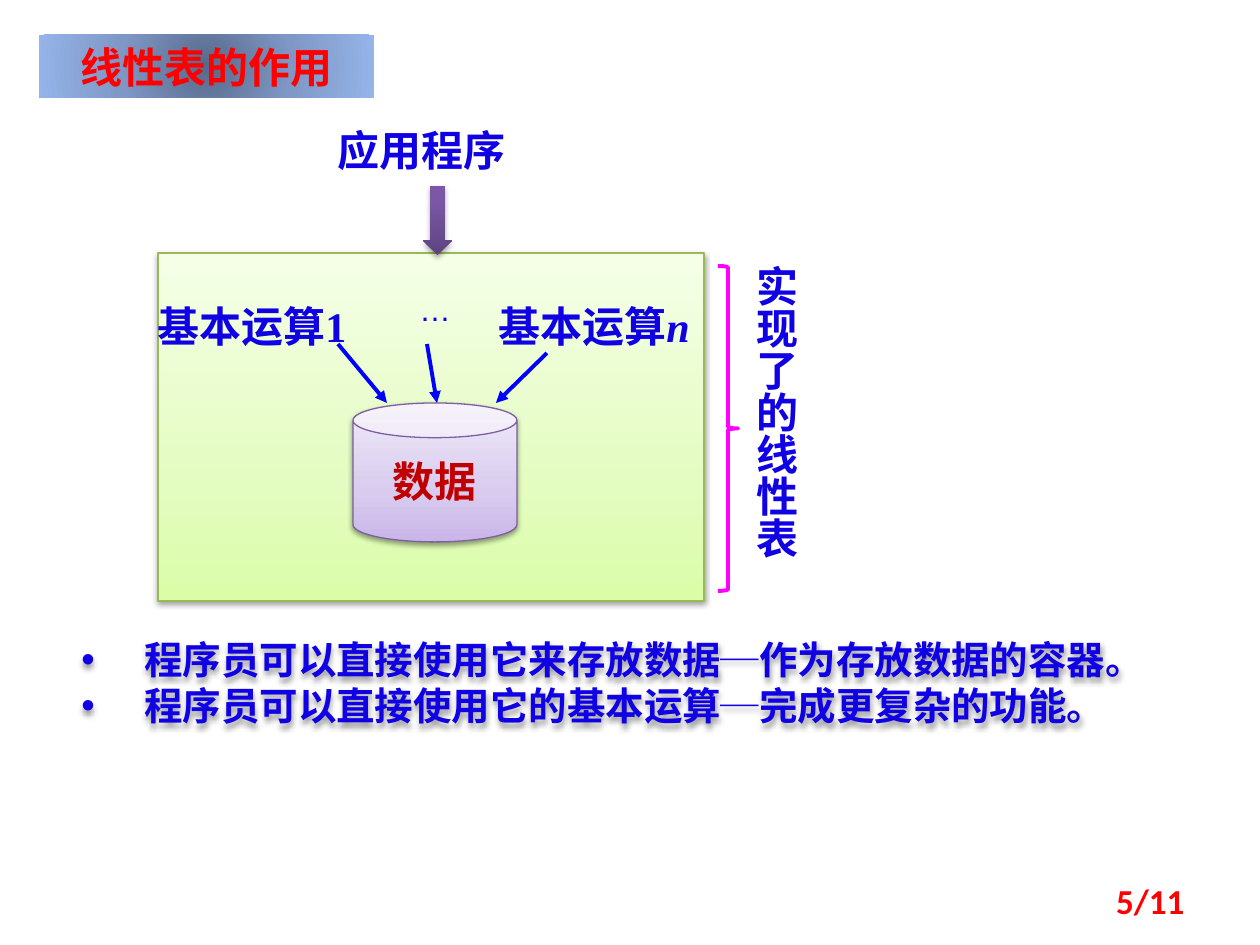
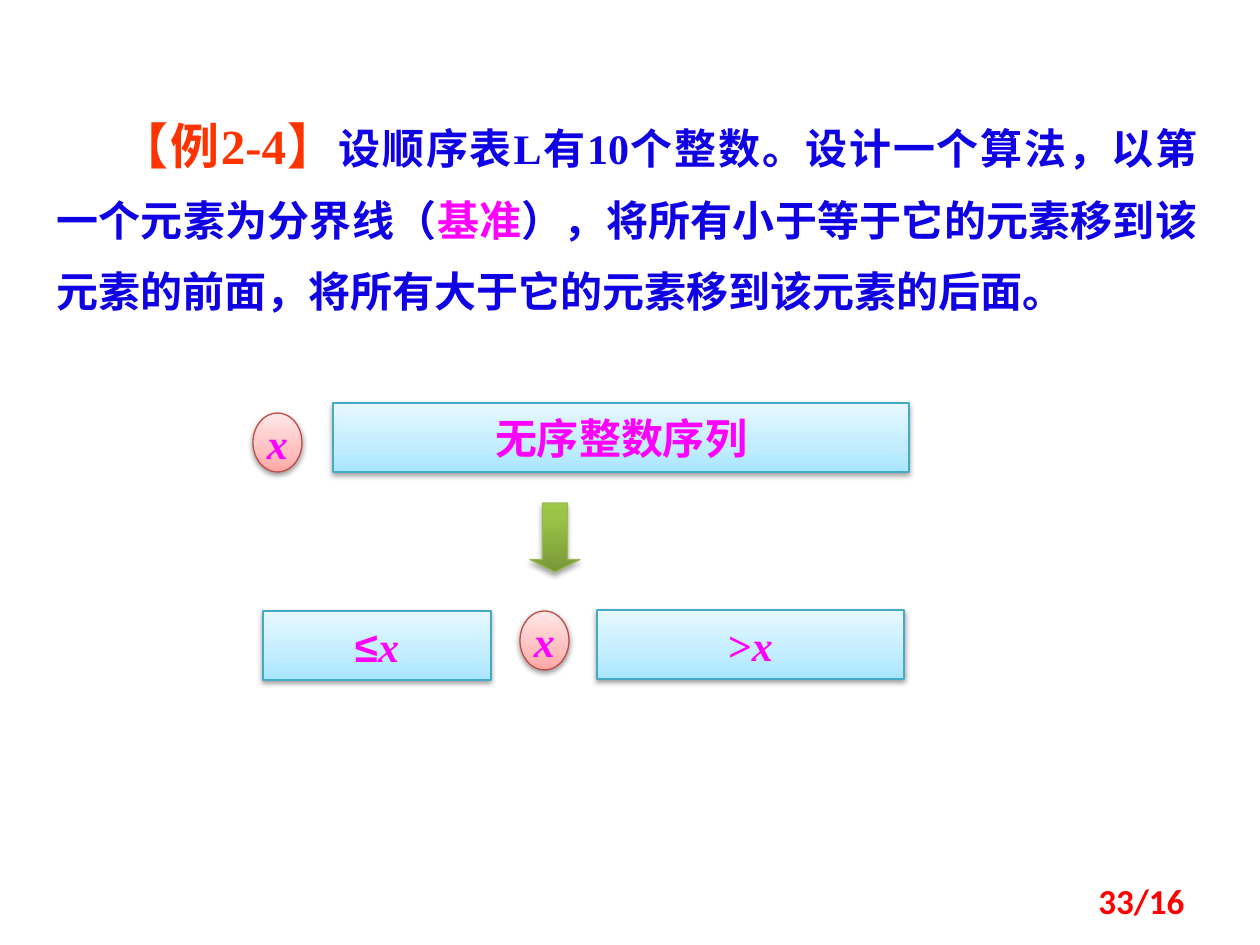
"""Build two slides on linear lists: their role, and a partition example."""
from lxml.etree import SubElement
from pptx import Presentation
from pptx.dml.color import RGBColor
from pptx.enum.lang import MSO_LANGUAGE_ID as Language
from pptx.enum.shapes import MSO_CONNECTOR as Connector, MSO_SHAPE as Shape
from pptx.enum.text import MSO_ANCHOR as Anchor, MSO_AUTO_SIZE as AutoSize, PP_ALIGN as Align
from pptx.oxml import parse_xml
from pptx.oxml.ns import nsdecls, qn
from pptx.util import Emu, Pt

SCALE = 914400 / 126
COLORS = {
    "text": "1000E4", "red": "FF0000", "dark_red": "C00000", "orange": "FF3300",
    "magenta": "FF00FF", "arrow": "0000FF", "green_line": "98B955",
    "purple_line": "7D60A0", "pink_line": "BF4C48", "cyan_line": "46AAC5",
}
GRADIENTS = {
    "green": [(0, "DAFDA7"), (35, "E4FCC2"), (100, "F5FFE7")],
    "purple": [(0, "C9B5E8"), (35, "D8CBEE"), (100, "F0EAF9")],
    "pink": [(0, "FFA6A5"), (35, "FFC0BF"), (100, "FFE7E7")],
    "cyan": [(0, "A7E6FF"), (35, "C1EDFF"), (100, "E7F8FF")],
    "purple_arrow": [(0, "5F4480"), (80, "7B58A6"), (100, "7C57A8")],
    "green_arrow": [(0, "779737"), (80, "9BC348"), (100, "9DC746")],
    "title": [(0, "586A8B"), (50, "7E97C5"), (100, "95B4EA")],
}
SANS, SERIF = "Noto Sans CJK SC", "Times New Roman"
BLUE = {}
MAGENTA = {"color": "magenta"}
VARIABLE = {**MAGENTA, "italic": True}


def px(value):
    return Emu(round(value * SCALE))


def rgb(name):
    return RGBColor.from_string(COLORS[name])


class Painter:
    """Hold the shared style and draw elements on the current slide."""

    def __init__(self):
        self.deck = Presentation()
        self.deck.slide_width, self.deck.slide_height = px(1260), px(945)

    def start(self, number):
        self.page = self.deck.slides.add_slide(self.deck.slide_layouts[6])
        self.canvas = self.page.shapes
        self.text((903, 876, 294, 50), [(number, {"font": "Calibri", "size": 20, "color": "red"})],
                  align=Align.RIGHT, anchor=Anchor.MIDDLE, grow=False)

    def group(self):
        self.canvas = self.page.shapes.add_group_shape().shapes

    def add_spans(self, para, spans, align=None):
        para.alignment = align
        for words, style in spans:
            span = para.add_run()
            span.text = words
            font = span.font
            font.name = style.get("font", SERIF)
            font.size = Pt(style.get("size", 24))
            font.bold = style.get("bold", True)
            font.italic = style.get("italic", False)
            font.color.rgb = rgb(style.get("color", "text"))
            font.language_id = Language.SIMPLIFIED_CHINESE
            latin = span._r.rPr.find(qn("a:latin"))
            latin.addnext(parse_xml(f'<a:ea {nsdecls("a")} typeface="{SANS}"/>'))

    def text(self, place, *paragraphs, align=None, anchor=Anchor.TOP, grow=True):
        box = self.canvas.add_textbox(*map(px, place))
        frame = box.text_frame
        frame.word_wrap = True
        frame.vertical_anchor = anchor
        frame.auto_size = AutoSize.SHAPE_TO_FIT_TEXT if grow else AutoSize.NONE
        for index, spans in enumerate(paragraphs):
            para = frame.add_paragraph() if index else frame.paragraphs[0]
            self.add_spans(para, spans, align)
        return box

    def bullets(self, place, lines, style):
        box = self.text(place, *[[(line, style)] for line in lines])
        for para in box.text_frame.paragraphs:
            props = para._p.get_or_add_pPr()
            props.set("marL", "457200")
            props.set("indent", "-457200")
            SubElement(props, qn("a:buFont"), typeface="Arial")
            SubElement(props, qn("a:buChar"), char="•")
        self.shade(box, 38, 1.6)

    def shade(self, shape, alpha, distance):
        shape.shadow.inherit = False
        effects = shape._element.spPr.find(qn("a:effectLst"))
        effects.append(parse_xml(
            f'<a:outerShdw {nsdecls("a")} blurRad="{Pt(3.1)}" dist="{Pt(distance)}" '
            f'dir="5400000" rotWithShape="0"><a:srgbClr val="000000">'
            f'<a:alpha val="{alpha * 1000}"/></a:srgbClr></a:outerShdw>'))

    def paint(self, shape, gradient, radial=False):
        stops = "".join(f'<a:gs pos="{at * 1000}"><a:srgbClr val="{color}"/></a:gs>'
                        for at, color in GRADIENTS[gradient])
        course = ('<a:path path="circle"><a:fillToRect l="50000" t="50000" r="50000" b="50000"/>'
                  '</a:path>' if radial else '<a:lin ang="16200000" scaled="0"/>')
        shape.fill.background()
        props = shape._element.spPr
        props.replace(props.find(qn("a:noFill")), parse_xml(
            f'<a:gradFill {nsdecls("a")} rotWithShape="1"><a:gsLst>{stops}</a:gsLst>'
            f'{course}</a:gradFill>'))

    def shape(self, kind, place, gradient=None, line=None, width=0.75, spans=(), radial=False):
        shape = self.canvas.add_shape(kind, *map(px, place))
        shape.shadow.inherit = False
        if gradient:
            self.paint(shape, gradient, radial)
        else:
            shape.fill.background()
        if line:
            shape.line.color.rgb = rgb(line)
            shape.line.width = Pt(width)
        else:
            shape.line.fill.background()
        if spans:
            frame = shape.text_frame
            frame.word_wrap = False
            frame.vertical_anchor = Anchor.MIDDLE
            self.add_spans(frame.paragraphs[0], spans, Align.CENTER)
        return shape

    def solid(self, kind, place, gradient, line=None, spans=()):
        shape = self.shape(kind, place, gradient, line, spans=spans)
        arrow = kind == Shape.DOWN_ARROW
        self.shade(shape, 35 if arrow else 38, 1.8 if arrow else 1.6)
        return shape

    def title(self, words):
        band = self.shape(Shape.RECTANGLE, (39, 35, 335, 63), "title", radial=True,
                          spans=[(words, {"font": SANS, "color": "red"})])
        band.text_frame.word_wrap = True
        band.text_frame.vertical_anchor = Anchor.TOP

    def arrow(self, start, end):
        line = self.canvas.add_connector(Connector.STRAIGHT, *map(px, start + end))
        line.line.color.rgb = rgb("arrow")
        line.line.width = Pt(2.25)
        SubElement(line.line._get_or_add_ln(), qn("a:tailEnd"), type="triangle")
        SubElement(line._element.spPr, qn("a:effectLst"))

    def cell(self, left, top, width, spans):
        self.solid(Shape.RECTANGLE, (left, top, width, 69), "cyan", "cyan_line", spans)

    def pivot(self, left, top):
        self.solid(Shape.OVAL, (left, top, 49, 59), "pink", "pink_line", [("x", VARIABLE)])


def draw_role(painter):
    painter.start("5/11")
    painter.solid(Shape.RECTANGLE, (158, 253, 546, 348), "green", "green_line")
    painter.solid(Shape.CAN, (353, 403, 164, 139), "purple", "purple_line",
                  [("数据", {"font": SANS, "color": "dark_red"})])
    painter.text((145, 294, 252, 63), [("基本运算1", BLUE)])
    painter.text((486, 294, 227, 63), [("基本运算", BLUE), ("n", {"italic": True})])
    painter.text((407, 284, 69, 50), [("…", {"font": "Arial", "size": 18, "bold": False})])
    for start, end in [((338, 344), (387, 403)), ((547, 353), (496, 403)), ((427, 344), (437, 403))]:
        painter.arrow(start, end)
    painter.text((325, 118, 246, 63), [("应用程序", BLUE)])
    painter.bullets((69, 630, 1113, 130),
                    ["程序员可以直接使用它来存放数据─作为存放数据的容器。",
                     "程序员可以直接使用它的基本运算─完成更复杂的功能。"],
                    {"font": SANS, "size": 22})
    painter.solid(Shape.DOWN_ARROW, (423, 186, 29, 69), "purple_arrow")
    painter.title("线性表的作用")
    label = painter.text((731, 253, 76, 359), [("实现了的线性表", {"font": SANS})], align=Align.CENTER)
    label.text_frame._txBody.bodyPr.set("vert", "eaVert")
    painter.shape(Shape.RIGHT_BRACE, (718, 266, 20, 325), line="magenta", width=2.25)


def draw_partition(painter):
    painter.start("33/16")
    heading = {"font": SANS, "size": 28, "color": "orange"}
    problem = painter.text((44, 86, 1166, 238), [
        ("【例", heading), ("2-4", {**heading, "font": SERIF}), ("】", heading),
        ("设顺序表L有10个整数。设计一个算法，以第一个元素为分界线（", BLUE), ("基准", MAGENTA),
        ("），将所有小于等于它的元素移到该元素的前面，将所有大于它的元素移到该元素的后面。", BLUE),
    ], align=Align.JUSTIFY)
    para = problem.text_frame.paragraphs[0]
    para.line_spacing = 1.4
    para._p.get_or_add_pPr().set("indent", "457200")
    painter.group()
    painter.pivot(253, 413)
    painter.cell(333, 403, 576, [("无序整数序列", {**MAGENTA, "font": SANS})])
    painter.group()
    arrow = painter.solid(Shape.DOWN_ARROW, (530, 503, 50, 69), "green_arrow", "green_line")
    arrow.adjustments[1] = 0.25
    painter.cell(263, 611, 228, [("≤", {**MAGENTA, "font": "Arial"}), ("x", VARIABLE)])
    painter.pivot(520, 611)
    painter.cell(597, 610, 307, [(">", MAGENTA), ("x", VARIABLE)])


painter = Painter()
draw_role(painter)
draw_partition(painter)
painter.deck.save("out.pptx")
